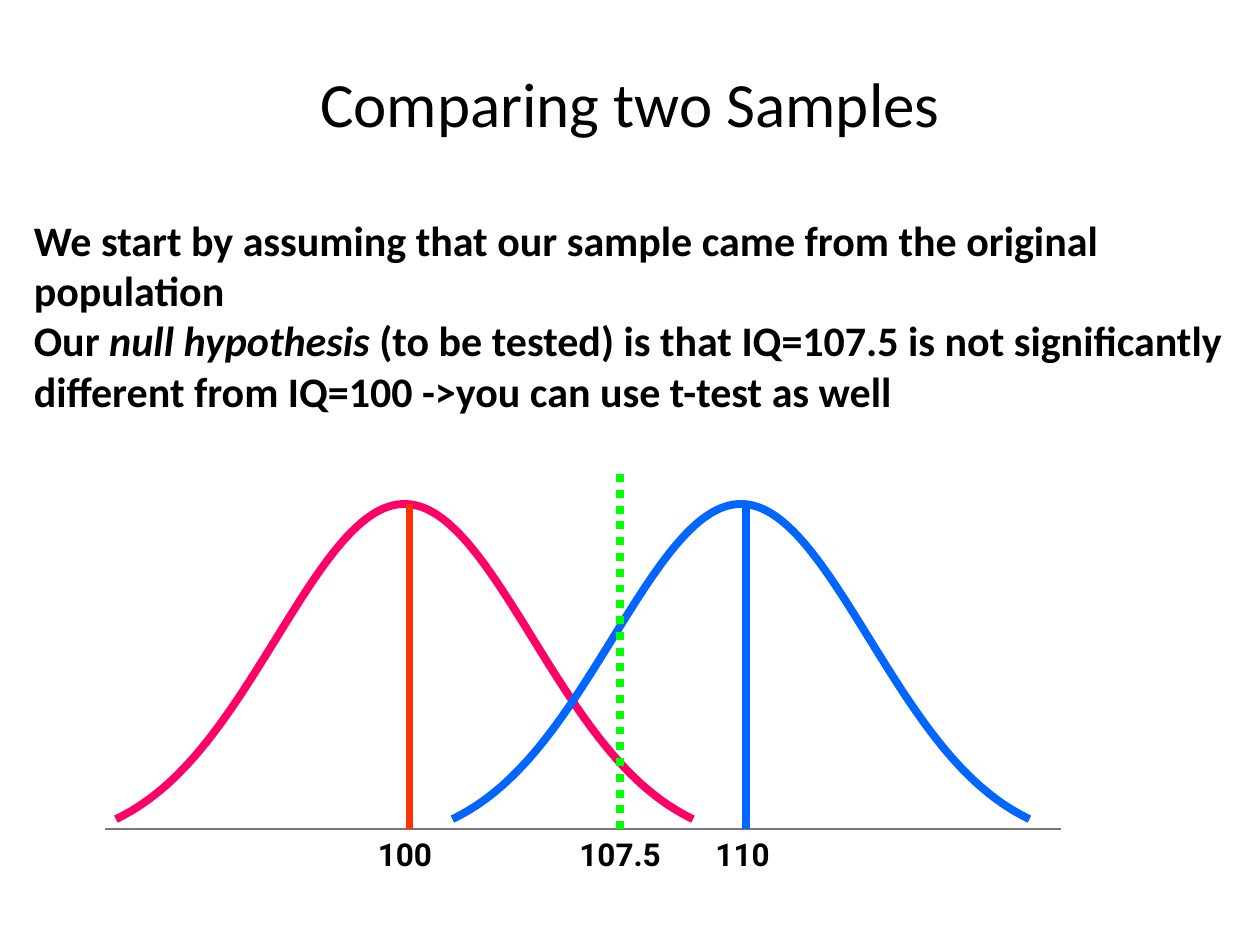
from math import exp

from pptx import Presentation
from pptx.dml.color import RGBColor
from pptx.enum.dml import MSO_LINE
from pptx.enum.shapes import MSO_CONNECTOR
from pptx.enum.text import MSO_ANCHOR, MSO_AUTO_SIZE, PP_ALIGN
from pptx.oxml.ns import qn
from pptx.util import Inches, Pt

AXIS_Y = 6.58
PEAK_Y = 4


def color(hex_value):
    """Turn a hex string into a colour."""
    return RGBColor.from_string(hex_value)


def add_text(slide, paragraphs, left, top, width, height, size=18, font="Calibri",
             bold=False, align=PP_ALIGN.LEFT, anchor=MSO_ANCHOR.TOP, wrap=True, grow=True):
    """Add a text box; each paragraph is a list of (text, italic) runs."""
    box = slide.shapes.add_textbox(Inches(left), Inches(top), Inches(width), Inches(height))
    frame = box.text_frame
    frame.word_wrap = wrap
    frame.auto_size = MSO_AUTO_SIZE.SHAPE_TO_FIT_TEXT if grow else MSO_AUTO_SIZE.NONE
    frame.vertical_anchor = anchor
    for index, runs in enumerate(paragraphs):
        paragraph = frame.add_paragraph() if index else frame.paragraphs[0]
        paragraph.alignment = align
        for text, italic in runs:
            run = paragraph.add_run()
            run.text = text
            run.font.name = font
            run.font.size = Pt(size)
            run.font.bold = bold
            run.font.italic = italic
            run.font.color.rgb = color("000000")


def add_line(slide, start, end, stroke, width=4.5, dash=None):
    """Add a straight line between two points."""
    line = slide.shapes.add_connector(MSO_CONNECTOR.STRAIGHT, *map(Inches, start + end))
    line.line.color.rgb = color(stroke)
    line.line.width = Pt(width)
    if dash:
        line.line.dash_style = dash
    properties = line._element.spPr
    properties.append(properties.makeelement(qn("a:effectLst"), {}))


def add_bell_curve(slide, center, stroke, half_width=2.29, sigma=1.02, height=2.72, steps=180):
    """Draw an open normal curve around its center."""
    points = []
    for step in range(steps + 1):
        offset = half_width * (2 * step / steps - 1)
        drop = height * (1 - exp(-(offset / sigma) ** 2 / 2))
        points.append((Inches(center + offset), Inches(PEAK_Y + drop)))
    builder = slide.shapes.build_freeform(*points[0])
    builder.add_line_segments(points[1:], close=False)
    curve = builder.convert_to_shape()
    curve.shadow.inherit = False
    curve.fill.background()
    curve.line.color.rgb = color(stroke)
    curve.line.width = Pt(4.5)


def add_distribution(slide, mean_x, curve_color, mean_color):
    """Draw a bell curve with the line of its mean."""
    add_bell_curve(slide, mean_x - 0.04, curve_color)
    add_line(slide, (mean_x, AXIS_Y), (mean_x, PEAK_Y), mean_color)


def main():
    """Build the slide and save it."""
    deck = Presentation()
    deck.slide_width, deck.slide_height = Inches(10), Inches(7.5)
    slide = deck.slides.add_slide(deck.slide_layouts[6])

    add_text(slide, [[("Comparing two Samples", False)]], 0.5, 0.3, 9, 1.02, size=36,
             align=PP_ALIGN.CENTER, anchor=MSO_ANCHOR.MIDDLE, grow=False)

    add_line(slide, (0.83, AXIS_Y), (8.42, AXIS_Y), "777777", width=1.5)
    add_distribution(slide, 3.25, "FF0066", "FF3300")
    add_distribution(slide, 5.92, "0066FF", "0066FF")

    hypothesis = [
        [("We start by assuming that our sample came from the original population", False)],
        [("Our ", False), ("null hypothesis", True),
         (" (to be tested) is that IQ=107.5 is not significantly different from IQ=100 "
          "->you can use t-test as well", False)],
    ]
    add_text(slide, hypothesis, 0.17, 1.65, 9.75, 1.72, size=24, bold=True)

    for score, left, width in (("100", 2.9, 0.68), ("107.5", 4.5, 0.92), ("110", 5.58, 0.68)):
        add_text(slide, [[(score, False)]], left, AXIS_Y, width, 0.4,
                 font="Roboto", bold=True, wrap=False)

    add_line(slide, (4.92, AXIS_Y), (4.92, 3.75), "00FF00", dash=MSO_LINE.ROUND_DOT)
    deck.save("out.pptx")


if __name__ == "__main__":
    main()
